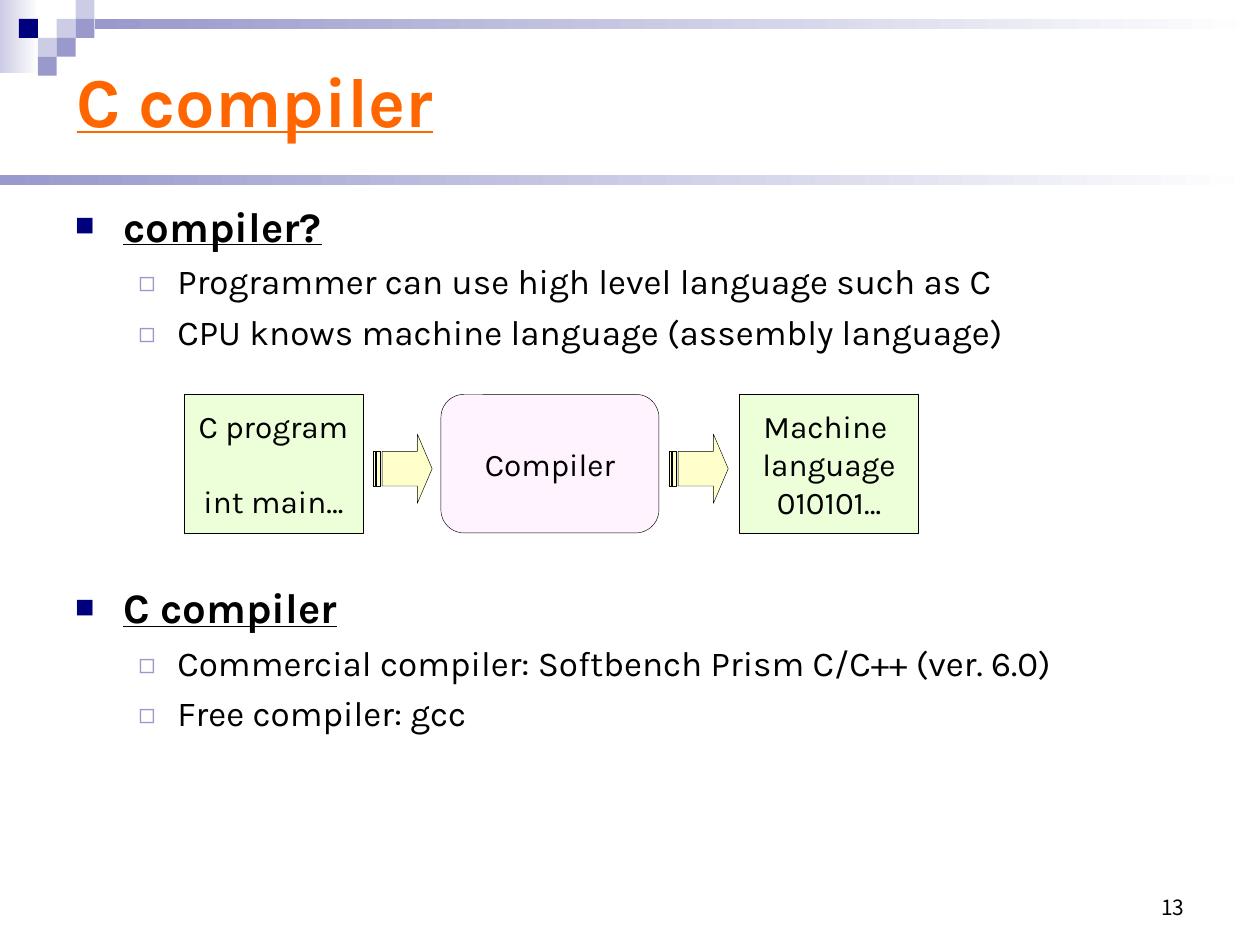
"""Builds the slide explaining what a C compiler does."""
import pptx
import pptx.util
import pptx.dml.color
import pptx.oxml
import pptx.oxml.ns
from pptx.enum.shapes import MSO_SHAPE
from pptx.enum.text import MSO_ANCHOR, PP_ALIGN

FONT = "Karla"
NUMBER_FONT = "Noto Sans CJK KR"
TILE = 0.15
BANDS = [
    (0, 0, 0.31, 0.58, "CCCCE6"),
    (0.75, 0.15, 9.25, 0.08, "9999CC"),
    (0, 1.39, 10, 0.08, "9999CC"),
]
TILES = [
    (3, 1, "CCCCE6"), (4, 0, "CCCCE6"), (4, 1, "9999CC"), (2, 2, "CCCCE6"),
    (1, 1, "00007D"), (3, 2, "9999CC"), (2, 3, "9999CC"),
]
SECTIONS = [
    (1.54, "compiler?", [
        "Programmer can use high level language such as C",
        "CPU knows machine language (assembly language)",
    ]),
    (4.57, "C compiler", [
        "Commercial compiler: Softbench Prism C/C++ (ver. 6.0)",
        "Free compiler: gcc",
    ]),
]
HEADING = {"size": 24, "strong": True, "hang": (0.38, 0.38), "bullet": ("■", "00007D", 46)}
POINT = {"size": 20, "strong": False, "hang": (0.81, 0.31), "bullet": ("◻", "9999CC", 80)}
STAGES = [
    (1.46, 1.42, MSO_SHAPE.RECTANGLE, "ECFFD9", ["C program", "int main…"], 21),
    (3.5, 1.73, MSO_SHAPE.ROUNDED_RECTANGLE, "FFF3FF", ["Compiler"], 0),
    (5.87, 1.42, MSO_SHAPE.RECTANGLE, "ECFFD9", ["Machine ", "language", "010101…"], 0),
]
STAGE_TOP, STAGE_HEIGHT = 3.13, 1.1
ARROW_WIDTH, ARROW_HEIGHT, ARROW_GAP = 0.47, 0.55, 0.08


def rgb(value):
    """Turn a hex string into a colour."""
    return pptx.dml.color.RGBColor.from_string(value)


def add_block(slide, kind, place, color, fade=False, outlined=False):
    """Add a preset shape with a plain or fading fill."""
    block = slide.shapes.add_shape(kind, *map(pptx.util.Inches, place))
    block.shadow.inherit = False
    if fade:
        block.fill.gradient()
        block.fill.gradient_angle = 0
        for stop, shade in zip(block.fill.gradient_stops, (color, "FFFFFF")):
            stop.color.rgb = rgb(shade)
    else:
        block.fill.solid()
        block.fill.fore_color.rgb = rgb(color)
    if outlined:
        block.line.color.rgb = rgb("000000")
        block.line.width = pptx.util.Pt(0.25)
    else:
        block.line.fill.background()
    return block


def add_box(slide, place, anchor=MSO_ANCHOR.TOP):
    """Add a wrapping text box and return its frame."""
    frame = slide.shapes.add_textbox(*map(pptx.util.Inches, place)).text_frame
    frame.word_wrap = True
    frame.vertical_anchor = anchor
    return frame


def write(para, text, size, color="000000", strong=False, font=FONT):
    """Put styled text in a paragraph."""
    para.text = text
    for span in para.runs:
        span.font.name = font
        span.font.size = pptx.util.Pt(size)
        span.font.bold = span.font.underline = strong
        span.font.color.rgb = rgb(color)
        for tag in ("ea", "cs"):
            face = pptx.oxml.parse_xml(f'<a:{tag} {pptx.oxml.ns.nsdecls("a")} typeface="{font}"/>')
            span.font._element.append(face)


def add_bullet(para, hang, bullet):
    """Give a paragraph a hanging indent and a coloured bullet."""
    symbol, color, percent = bullet
    left, indent = map(pptx.util.Inches, hang)
    properties = para._p.get_or_add_pPr()
    properties.set("marL", str(left))
    properties.set("indent", str(-indent))
    for part in (
        f'buClr {{0}}><a:srgbClr val="{color}"/></a:buClr>',
        f'buSzPct {{0}} val="{percent * 1000}"/>',
        f'buFont {{0}} typeface="{NUMBER_FONT}"/>',
        f'buChar {{0}} char="{symbol}"/>',
    ):
        properties.append(pptx.oxml.parse_xml("<a:" + part.format(pptx.oxml.ns.nsdecls("a"))))


def add_section(slide, top, heading, points):
    """Add a heading with its points below."""
    frame = add_box(slide, (0.5, top, 9, 1.5))
    for index, text in enumerate([heading] + points):
        style = POINT if index else HEADING
        para = frame.add_paragraph() if index else frame.paragraphs[0]
        if index:
            para.space_before = pptx.util.Pt(5)
        add_bullet(para, style["hang"], style["bullet"])
        write(para, text, style["size"], strong=style["strong"])


def add_stage(slide, left, width, kind, color, lines, gap):
    """Add one labelled stage of the compiling process."""
    place = (left, STAGE_TOP, width, STAGE_HEIGHT)
    frame = add_block(slide, kind, place, color, outlined=True).text_frame
    frame.word_wrap = False
    frame.vertical_anchor = MSO_ANCHOR.MIDDLE
    for index, text in enumerate(lines):
        para = frame.add_paragraph() if index else frame.paragraphs[0]
        para.alignment = PP_ALIGN.CENTER
        if index:
            para.space_before = pptx.util.Pt(gap)
        write(para, text, 18)


def main():
    """Build and save the deck."""
    deck = pptx.Presentation()
    deck.slide_width, deck.slide_height = pptx.util.Inches(10), pptx.util.Inches(7.5)
    slide = deck.slides.add_slide(deck.slide_layouts[6])
    for *place, color in BANDS:
        add_block(slide, MSO_SHAPE.RECTANGLE, place, color, fade=True)
    for column, row, color in TILES:
        add_block(slide, MSO_SHAPE.RECTANGLE, (column * TILE, row * TILE, TILE, TILE), color)

    title = add_box(slide, (0.51, 0.28, 9, 1.02), MSO_ANCHOR.MIDDLE)
    write(title.paragraphs[0], "C compiler", 40, "FF6600", strong=True)
    for section in SECTIONS:
        add_section(slide, *section)
    number = add_box(slide, (7.17, 6.83, 2.33, 0.52), MSO_ANCHOR.BOTTOM)
    number.paragraphs[0].alignment = PP_ALIGN.RIGHT
    write(number.paragraphs[0], "13", 12, font=NUMBER_FONT)

    for stage in STAGES:
        add_stage(slide, *stage)
    arrow_top = STAGE_TOP + (STAGE_HEIGHT - ARROW_HEIGHT) / 2 + 0.04
    for left, width, *_ in STAGES[:-1]:
        place = (left + width + ARROW_GAP, arrow_top, ARROW_WIDTH, ARROW_HEIGHT)
        arrow = add_block(slide, MSO_SHAPE.STRIPED_RIGHT_ARROW, place, "FFFFCC", outlined=True)
        arrow.adjustments[0], arrow.adjustments[1] = 0.5, 0.25
    deck.save("out.pptx")


if __name__ == "__main__":
    main()
